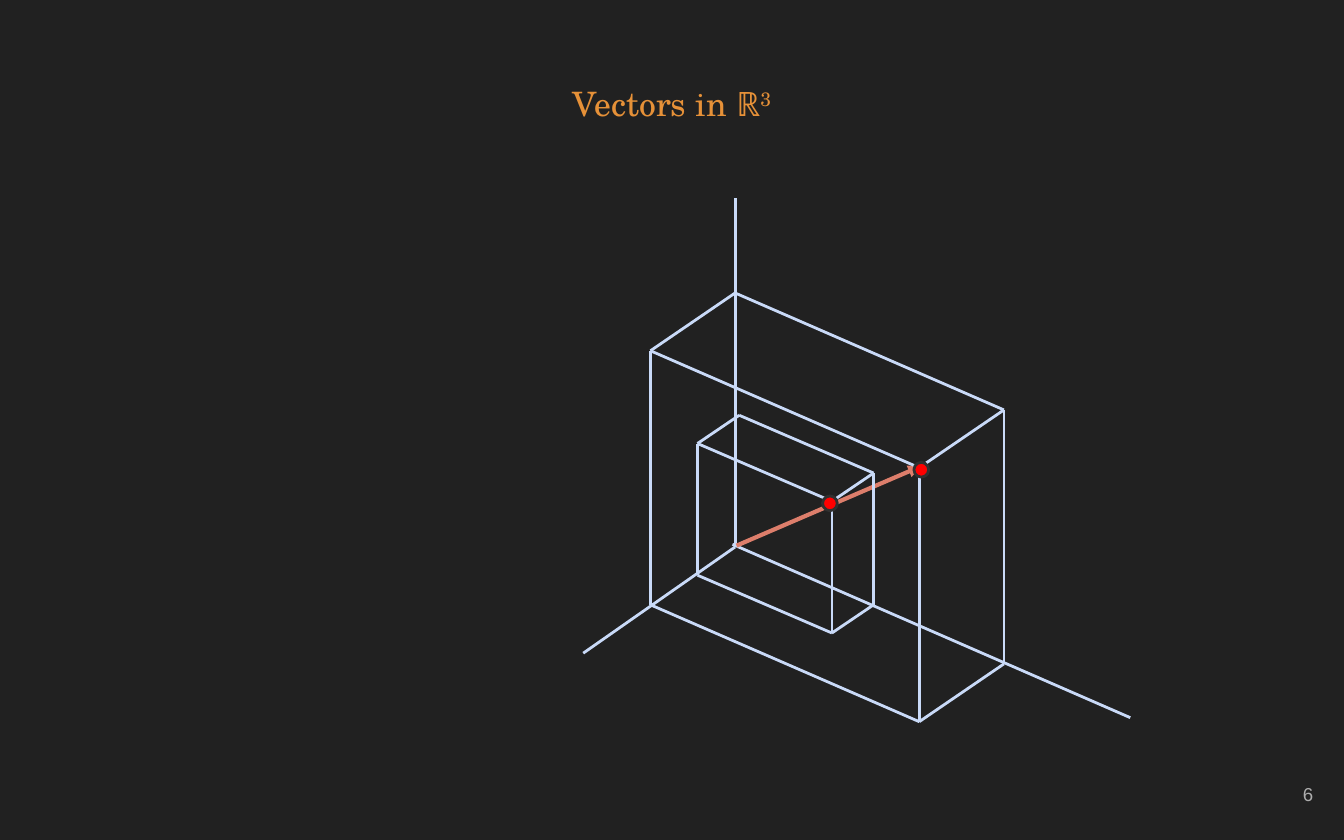
from itertools import combinations, product

from lxml import etree
from pptx import Presentation
from pptx.dml.color import RGBColor
from pptx.enum import shapes, text
from pptx.oxml import ns
from pptx.util import Inches, Pt

BACKGROUND = RGBColor(0x21, 0x21, 0x21)
PALE_BLUE = RGBColor(0xC9, 0xDA, 0xF8)
CORAL = RGBColor(0xDD, 0x7E, 0x6B)
RED = RGBColor(0xFF, 0x00, 0x00)
DARK_GRAY = RGBColor(0x30, 0x30, 0x30)
ORANGE = RGBColor(0xE6, 0x91, 0x38)
LIGHT_GRAY = RGBColor(0xAD, 0xAD, 0xAD)

prs = Presentation()
prs.slide_width, prs.slide_height = Inches(10), Inches(6.25)
slide = prs.slides.add_slide(prs.slide_layouts[6])
slide.background.fill.solid()
slide.background.fill.fore_color.rgb = BACKGROUND


def add_line(start, end, color=PALE_BLUE, width=1.5):
    line = slide.shapes.add_connector(
        shapes.MSO_CONNECTOR.STRAIGHT, *(Inches(v) for v in (*start, *end)))
    line.line.color.rgb = color
    line.line.width = Pt(width)
    etree.SubElement(line._element.spPr, ns.qn("a:effectLst"))
    return line


def add_text(left, top, width, height, align, anchor, runs):
    """Add a one-paragraph box; runs holds (text, font, size, color)."""
    box = slide.shapes.add_textbox(*(Inches(v) for v in (left, top, width, height)))
    frame = box.text_frame
    frame.word_wrap = True
    frame.vertical_anchor = anchor
    frame.margin_left = frame.margin_right = Inches(0.1)
    frame.margin_top = frame.margin_bottom = Inches(0.1)
    paragraph = frame.paragraphs[0]
    paragraph.alignment = align
    for words, font, size, color in runs:
        run = paragraph.add_run()
        run.text = words
        run.font.name = font
        run.font.size = Pt(size)
        run.font.color.rgb = color
    return paragraph


# Axes
origin = (5.47, 4.07)
add_line(origin, (5.47, 1.47))
add_line((5.45, 4.05), (8.41, 5.34))
add_line(origin, (4.34, 4.86))

# Vector
vector = add_line((5.48, 4.06), (6.85, 3.47), CORAL, 2.25)
etree.SubElement(vector.line._get_or_add_ln(), ns.qn("a:tailEnd"), type="triangle")

# Boxes: front left bottom corner, then the steps right, back and up.
# The edges that meet at the origin lie on the axes and are not drawn.
boxes = [
    ((5.19, 4.28), ((1, 0.43), (0.31, -0.21), (0, -0.98))),
    ((4.84, 4.5), ((2, 0.87), (0.63, -0.43), (0, -1.89))),
]
origin_corner = (0, 1, 0)
for front_corner, steps in boxes:
    corners = {
        key: tuple(front_corner[axis] + sum(k * step[axis] for k, step in zip(key, steps))
                   for axis in (0, 1))
        for key in product((0, 1), repeat=3)
    }
    for a, b in combinations(corners, 2):
        is_edge = sum(i != j for i, j in zip(a, b)) == 1
        if is_edge and origin_corner not in (a, b):
            add_line(corners[a], corners[b])

# Points
for left, top in ((6.12, 3.69), (6.8, 3.44)):
    point = slide.shapes.add_shape(
        shapes.MSO_SHAPE.OVAL, Inches(left), Inches(top), Inches(0.11), Inches(0.11))
    point.shadow.inherit = False
    point.fill.solid()
    point.fill.fore_color.rgb = RED
    point.line.color.rgb = DARK_GRAY
    point.line.width = Pt(1.5)

# Title and page number
title = add_text(0.34, 0.47, 9.32, 0.48, text.PP_ALIGN.CENTER, text.MSO_ANCHOR.TOP,
                 [("Vectors in ℝ", "TeX Gyre Schola", 18, ORANGE),
                  ("3", "TeX Gyre Schola", 18, ORANGE)])
title.line_spacing = 1.15
title.space_after = Pt(16)
exponent = title.runs[1]
exponent._r.get_or_add_rPr().set("baseline", "30000")

add_text(9.27, 5.67, 0.6, 0.48, text.PP_ALIGN.RIGHT, text.MSO_ANCHOR.MIDDLE,
         [("6", "Arial", 10, LIGHT_GRAY)])

prs.save("out.pptx")
